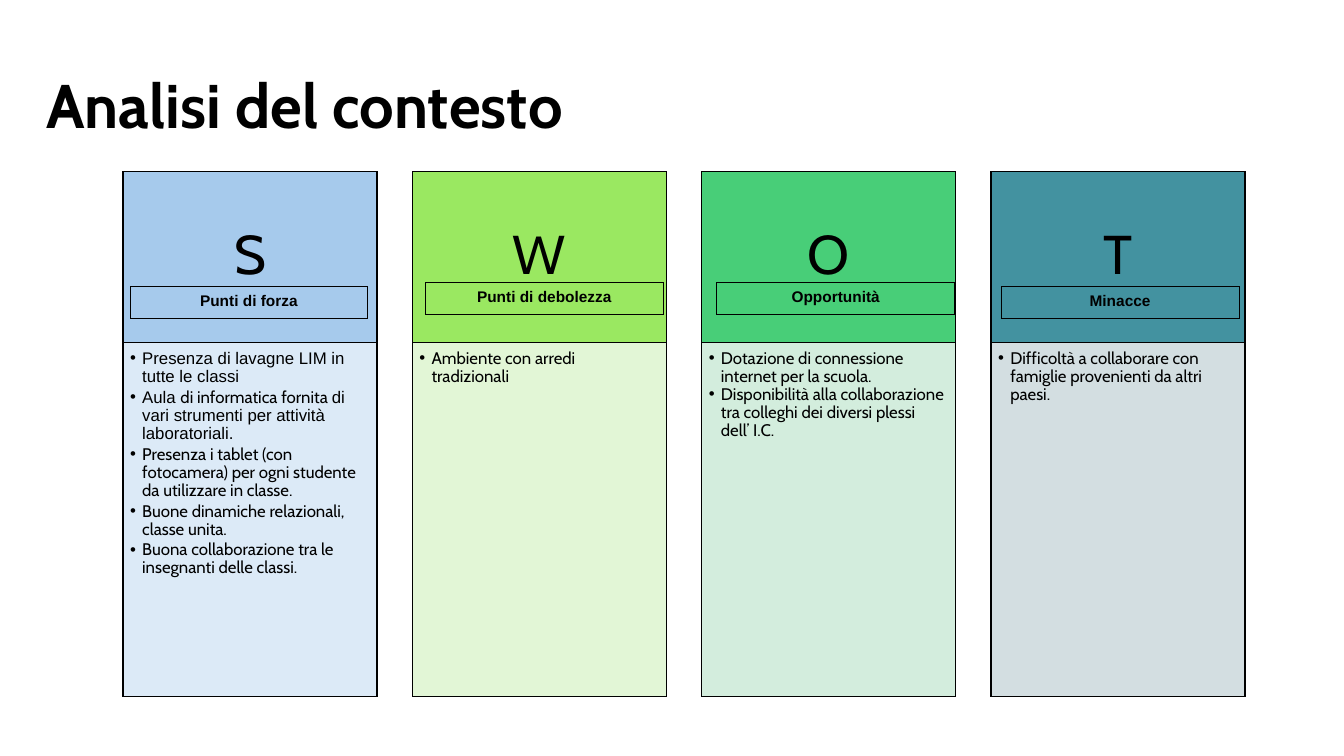
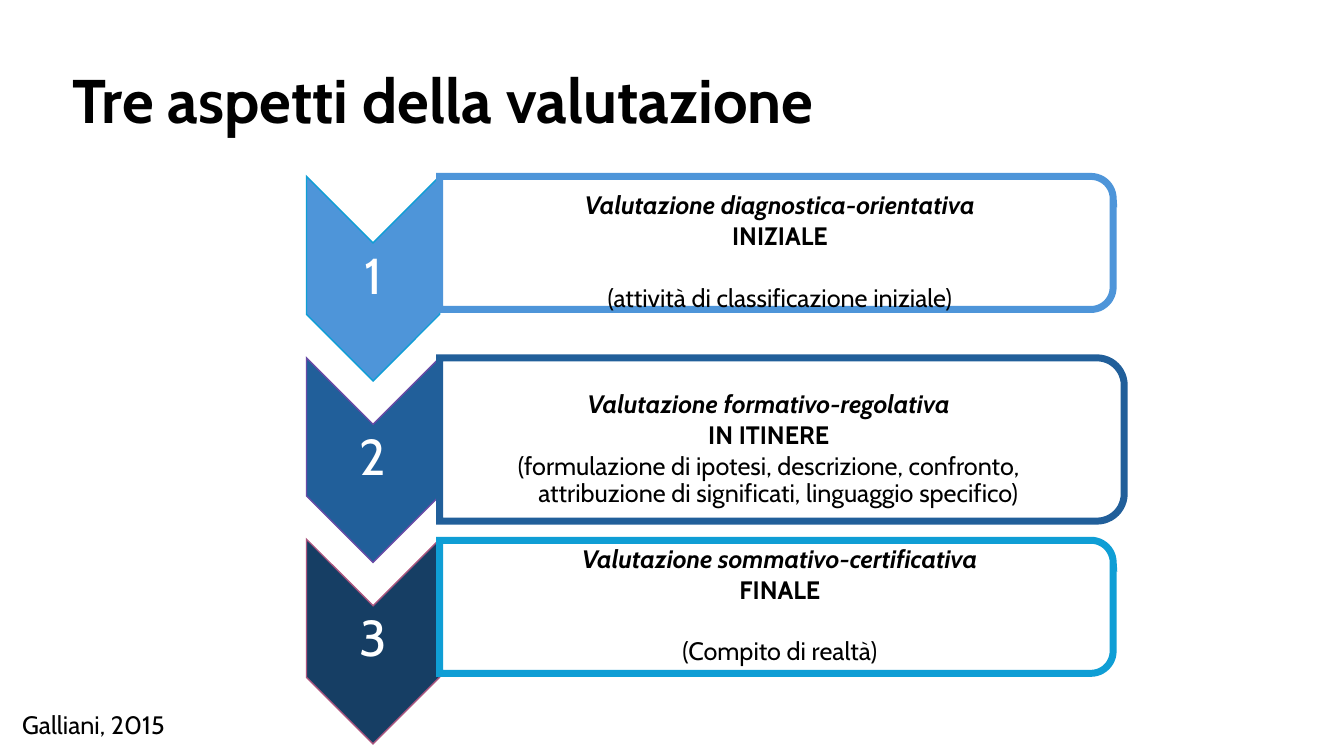
from lxml.etree import SubElement
from pptx import Presentation
from pptx.dml.color import RGBColor
from pptx.enum.shapes import MSO_SHAPE
from pptx.enum.text import MSO_ANCHOR, MSO_AUTO_SIZE, PP_ALIGN
from pptx.oxml.ns import qn
from pptx.util import Inches, Pt

COLORS = {
    "black": "000000", "white": "FFFFFF",
    "sky": "A6CAEC", "sky_pale": "DCEAF7",
    "lime": "9AE861", "lime_pale": "E2F6D6",
    "green": "48CE78", "green_pale": "D3EDDD",
    "teal": "4392A0", "teal_pale": "D3DEE1",
    "blue": "4E95D9", "royal": "215F9A", "navy": "163E64",
    "cyan": "0F9ED5", "violet": "684BA6", "plum": "AA557F",
}


def rgb(name):
    return RGBColor.from_string(COLORS[name])


def write(para, text, font="Cabin", size=18, color="black", bold=False, italic=False):
    span = para.add_run()
    span.text = text
    span.font.name = font
    span.font.size = Pt(size)
    span.font.color.rgb = rgb(color)
    span.font.bold = bold
    span.font.italic = italic


class Deck:
    """Holds the shared style and the current page."""

    def __init__(self):
        self.deck = Presentation()
        self.deck.slide_width = Inches(13.33)
        self.deck.slide_height = Inches(7.5)
        self.page = None

    def new_page(self, title, left, top, width):
        self.page = self.deck.slides.add_slide(self.deck.slide_layouts[5])
        box = self.page.shapes.title
        box.left, box.top = Inches(left), Inches(top)
        box.width, box.height = Inches(width), Inches(0.72)
        frame = self.set_frame(box, (0, 0, 0, 0), MSO_ANCHOR.BOTTOM)
        para = self.next_para(frame, align=PP_ALIGN.LEFT, spacing=0.8)
        write(para, title, size=44, bold=True)

    def set_frame(self, box, insets, anchor=MSO_ANCHOR.TOP):
        frame = box.text_frame
        frame.word_wrap = True
        frame.auto_size = MSO_AUTO_SIZE.NONE
        frame.vertical_anchor = anchor
        (frame.margin_left, frame.margin_top,
         frame.margin_right, frame.margin_bottom) = map(Inches, insets)
        return frame

    def next_para(self, frame, align=PP_ALIGN.CENTER, spacing=0.9, before=0,
                  indent=0, bullet=False):
        """Use the empty first paragraph, or add one with space before it."""
        para = frame.paragraphs[0]
        if para.runs:
            para = frame.add_paragraph()
            para.space_before = Pt(before)
        para.alignment = align
        para.line_spacing = spacing
        if indent:
            properties = para._p.get_or_add_pPr()
            properties.set("marL", str(Inches(indent)))
            properties.set("indent", str(-Inches(indent)))
            if bullet:
                color = SubElement(properties, qn("a:buClr"))
                SubElement(color, qn("a:srgbClr"), val=COLORS["black"])
                SubElement(properties, qn("a:buFont"), typeface="Arial")
                SubElement(properties, qn("a:buChar"), char="•")
        return para

    def shape(self, kind, left, top, width, height, fill=None, line="black",
              weight=1.0, rotation=0, adjustments=()):
        shape = self.page.shapes.add_shape(
            kind, Inches(left), Inches(top), Inches(width), Inches(height))
        shape.shadow.inherit = False
        if fill:
            shape.fill.solid()
            shape.fill.fore_color.rgb = rgb(fill)
        else:
            shape.fill.background()
        shape.line.color.rgb = rgb(line)
        shape.line.width = Pt(weight)
        # Square outline corners
        SubElement(shape.line._get_or_add_ln(), qn("a:miter"), lim="800000")
        shape.rotation = rotation
        for index, value in enumerate(adjustments):
            shape.adjustments[index] = value
        return shape

    def turned_shape(self, kind, left, top, width, height, **style):
        """Place a shape turned by 90 degrees, given its box as it shows."""
        return self.shape(kind, left + (width - height) / 2, top + (height - width) / 2,
                          height, width, rotation=90, **style)

    def text_box(self, left, top, width, height, insets, anchor=MSO_ANCHOR.TOP):
        box = self.page.shapes.add_textbox(
            Inches(left), Inches(top), Inches(width), Inches(height))
        return self.set_frame(box, insets, anchor)

    def swot_column(self, left, letter, fill, pale, items, before):
        width, top, head_height = 2.52, 1.7, 1.7
        head = self.shape(MSO_SHAPE.RECTANGLE, left, top, width, head_height, fill)
        frame = self.set_frame(head, (0.3, 0.17, 0.3, 0.17), MSO_ANCHOR.MIDDLE)
        write(self.next_para(frame), letter, size=39)
        body = self.shape(MSO_SHAPE.RECTANGLE, left, top + head_height, width, 3.51, pale)
        frame = self.set_frame(body, (0.07, 0.07, 0.1, 0.1))
        for spans in items:
            para = self.next_para(frame, align=PP_ALIGN.LEFT, before=before,
                                  indent=0.12, bullet=True)
            for text, font in spans:
                write(para, text, font=font, size=12)

    def swot_label(self, left, top, text):
        label = self.shape(MSO_SHAPE.RECTANGLE, left, top, 2.36, 0.32, weight=0.75)
        frame = self.set_frame(label, (0.1, 0.05, 0.1, 0.05))
        write(self.next_para(frame, spacing=1.0), text, font="Arial", size=11, bold=True)

    def step(self, number, top, fill, edge, frame_line, frame_box, text_box, lines, gap):
        left, width = 3.04, 1.32
        self.turned_shape(MSO_SHAPE.CHEVRON, left, top, width, 2.03,
                          fill=fill, line=edge, adjustments=[0.5])
        frame = self.text_box(left, top + 0.7, width, 0.61, (0.02,) * 4, MSO_ANCHOR.MIDDLE)
        write(self.next_para(frame), str(number), size=36, color="white")
        self.turned_shape(MSO_SHAPE.ROUND_2_SAME_RECTANGLE, left + width, *frame_box,
                          fill="white", line=frame_line, weight=5,
                          adjustments=[0.167, 0])
        frame = self.text_box(left + width, *text_box, (0.14, 0.01, 0.01, 0.01),
                              MSO_ANCHOR.MIDDLE)
        name, phase, detail = lines
        write(self.next_para(frame, indent=0.19), name, bold=True, italic=True)
        write(self.next_para(frame, indent=0.19, before=2.7), phase, bold=True)
        write(self.next_para(frame, indent=0.19, before=gap), detail)


def plain(*texts, font="Cabin"):
    """Bullet items of one span each."""
    return [[(text, font)] for text in texts]


def build_context(deck):
    deck.new_page("Analisi del contesto", 0.46, 0.67, 10.69)
    strengths = plain("Presenza di lavagne LIM in tutte le classi", font="Arial")
    strengths.append([("Aula ", "Arial"), ("di informatica fornita ", "Cabin"),
                      ("di vari strumenti per attività laboratoriali.", "Arial")])
    strengths += plain(
        "Presenza i tablet (con fotocamera) per ogni studente da utilizzare in classe.",
        "Buone dinamiche relazionali, classe unita.",
        "Buona collaborazione tra le insegnanti delle classi.")
    weaknesses = plain("Ambiente con arredi tradizionali")
    opportunities = plain(
        "Dotazione di connessione internet per la scuola.",
        "Disponibilità alla collaborazione tra colleghi dei diversi plessi dell’ I.C.")
    threats = plain("Difficoltà a collaborare con famiglie provenienti da altri paesi.")

    # Letter, colour, bullets, space between bullets, label, label offset and top
    columns = [
        ("S", "sky", strengths, 1.8, "Punti di forza", 0.07, 2.84),
        ("W", "lime", weaknesses, 0, "Punti di debolezza", 0.13, 2.8),
        ("O", "green", opportunities, 0, "Opportunità", 0.15, 2.8),
        ("T", "teal", threats, 0, "Minacce", 0.1, 2.84),
    ]
    for index, (letter, color, items, before, label, offset, top) in enumerate(columns):
        left = 1.22 + index * 2.87
        deck.swot_column(left, letter, color, color + "_pale", items, before)
        deck.swot_label(left + offset, top, label)


def build_assessment(deck):
    deck.new_page("Tre aspetti della valutazione", 0.72, 0.62, 8.25)
    # Fill, edge and frame colours; frame and text as top, width, height;
    # lines of text; space before the last line
    steps = [
        ("blue", "cyan", "blue", (1.75, 6.68, 1.32), (2, 6.62, 1.01),
         ("Valutazione diagnostica-orientativa", "INIZIALE",
          "(attività di classificazione iniziale)"), 24.8),
        ("royal", "violet", "royal", (3.55, 6.79, 1.62), (4, 6.4, 0.92),
         ("Valutazione formativo-regolativa", "IN ITINERE",
          "(formulazione di ipotesi, descrizione, confronto, "
          "attribuzione di significati, linguaggio specifico)"), 2.7),
        ("navy", "plum", "cyan", (5.36, 6.68, 1.32), (5.42, 6.62, 1.19),
         ("Valutazione sommativo-certificativa", "FINALE",
          "(Compito di realtà)"), 24.8),
    ]
    for index, (fill, edge, frame_line, frame_box, text_box, lines, gap) in enumerate(steps):
        deck.step(index + 1, 1.75 + index * 1.8, fill, edge, frame_line,
                  frame_box, text_box, lines, gap)

    # Source of the model
    frame = deck.text_box(0.12, 6.99, 1.85, 0.4, (0.1, 0.05, 0.1, 0.05))
    write(deck.next_para(frame, align=PP_ALIGN.LEFT, spacing=1.0), "Galliani, 2015")


def main():
    deck = Deck()
    build_context(deck)
    build_assessment(deck)
    deck.deck.save("out.pptx")


if __name__ == "__main__":
    main()
